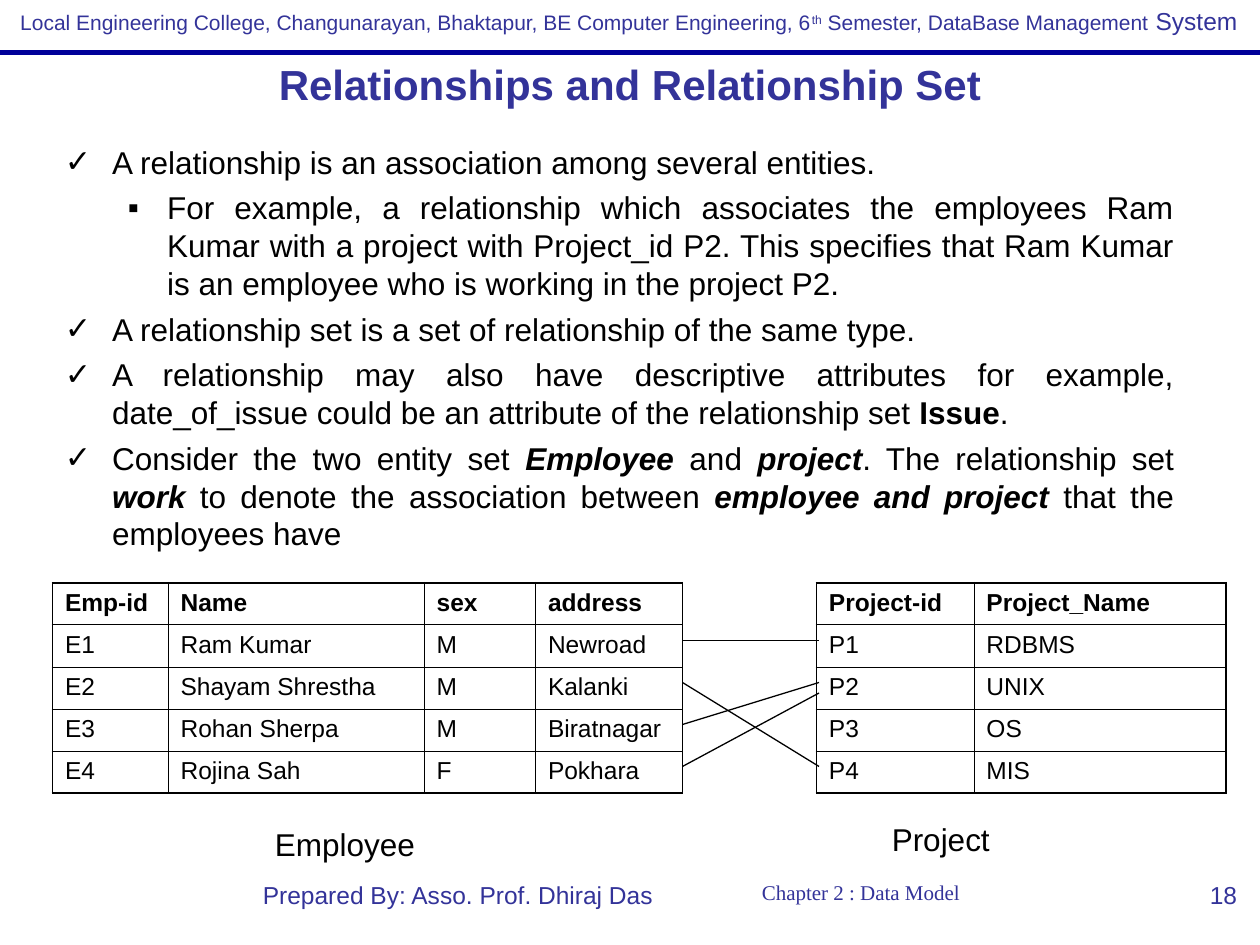
from itertools import product

from lxml.etree import SubElement
from pptx import Presentation
from pptx.dml.color import RGBColor
from pptx.enum.shapes import MSO_CONNECTOR
from pptx.enum.text import MSO_ANCHOR as Anchor, PP_ALIGN as Align
from pptx.oxml.ns import qn
from pptx.util import Inches, Pt

NAVY = RGBColor(0x00, 0x00, 0x99)
INDIGO = RGBColor(0x33, 0x33, 0x99)
BLACK = RGBColor(0x00, 0x00, 0x00)

COLUMNS, ROWS = 120, 90  # twelve grid units to the inch
UNIT = Inches(1) // 12
OUTER, INNER = Pt(1.08), Pt(0.45)

BOLD = {"bold": True}
STRONG = {"bold": True, "italic": True}

# Per outline level: bullet, left margin and hanging indent in grid units
BULLETS = [("✓", 4.5, 4.5), ("▪", 9.75, 3.75)]
POINTS = [
    (0, [("A relationship is an association among several entities.", {})]),
    (1, [("For example, a relationship which associates the employees Ram Kumar "
          "with a project with Project_id P2. This specifies that Ram Kumar is an "
          "employee who is working in the project P2.", {})]),
    (0, [("A relationship set is a set of relationship of the same type.", {})]),
    (0, [("A relationship may also have descriptive attributes for example, "
          "date_of_issue could be an attribute of the relationship set ", {}),
         ("Issue", BOLD), (".", {})]),
    (0, [("Consider the two entity set ", {}), ("Employee ", STRONG), ("and", {}),
         (" project", STRONG), (". The relationship set ", {}), ("work", STRONG),
         (" to denote the association between ", {}),
         ("employee and project", STRONG), (" that the employees have", {})]),
]

EMPLOYEES = [
    ["Emp-id", "Name", "sex", "address"],
    ["E1", "Ram Kumar", "M", "Newroad"],
    ["E2", "Shayam Shrestha", "M", "Kalanki"],
    ["E3", "Rohan Sherpa", "M", "Biratnagar"],
    ["E4", "Rojina Sah", "F", "Pokhara"],
]
PROJECTS = [
    ["Project-id", "Project_Name"],
    ["P1", "RDBMS"],
    ["P2", "UNIX"],
    ["P3", "OS"],
    ["P4", "MIS"],
]
# Grid rows where each work link leaves Employee and reaches Project
WORK_LINKS = [(61, 61), (65, 73), (69, 65), (73, 66)]


def grid(*units):
    return [round(unit * UNIT) for unit in units]


class SlideBuilder:
    def __init__(self, slide, font="Arial"):
        self.slide = slide
        self.font = font

    def add_runs(self, paragraph, runs, **style):
        """Add (text, format) runs on top of a shared style."""
        for text, own in runs:
            run = paragraph.add_run()
            run.text = text
            values = {"name": self.font, "color": BLACK, "bold": False, **style, **own}
            run.font.color.rgb = values.pop("color")
            baseline = values.pop("baseline", None)
            if baseline:
                run._r.get_or_add_rPr().set("baseline", baseline)
            for key, value in values.items():
                setattr(run.font, key, value)

    def title(self, text, box):
        heading = self.slide.shapes.title
        heading.left, heading.top, heading.width, heading.height = grid(*box)
        frame = heading.text_frame
        frame.margin_top = frame.margin_bottom = 0
        frame.vertical_anchor = Anchor.MIDDLE
        paragraph = frame.paragraphs[0]
        paragraph.alignment = Align.CENTER
        self.add_runs(paragraph, [(text, BOLD)], size=Pt(24), color=INDIGO)

    def label(self, runs, box, align=Align.LEFT, **style):
        frame = self.slide.shapes.add_textbox(*grid(*box)).text_frame
        frame.word_wrap = False
        paragraph = frame.paragraphs[0]
        paragraph.alignment = align
        self.add_runs(paragraph, runs, **style)

    def outline(self, points, box):
        frame = self.slide.shapes.add_textbox(*grid(*box)).text_frame
        frame.word_wrap = True
        for index, (level, runs) in enumerate(points):
            paragraph = frame.add_paragraph() if index else frame.paragraphs[0]
            paragraph.level = level
            paragraph.alignment = Align.JUSTIFY
            paragraph.space_before = Pt(4.5)
            bullet, margin, hang = BULLETS[level]
            properties = paragraph._p.get_or_add_pPr()
            for key, length in zip(("marL", "indent"), grid(margin, -hang)):
                properties.set(key, str(length))
            SubElement(properties, qn("a:buFont"), typeface=self.font)
            SubElement(properties, qn("a:buChar"), char=bullet)
            self.add_runs(paragraph, runs, size=Pt(18))

    def border(self, cell, widths):
        """Draw a cell's black edges, given as widths by edge letter."""
        properties = cell._tc.get_or_add_tcPr()
        for edge, width in widths.items():
            line = SubElement(properties, qn(f"a:ln{edge}"), w=str(int(width)))
            fill = SubElement(line, qn("a:solidFill"))
            SubElement(fill, qn("a:srgbClr"), val=str(BLACK))

    def table(self, records, left, top, widths, row_height=4):
        rows, columns = len(records), len(widths)
        box = grid(left, top, sum(widths), rows * row_height)
        table = self.slide.shapes.add_table(rows, columns, *box).table
        table.first_row = table.horz_banding = False
        for column, width in zip(table.columns, grid(*widths)):
            column.width = width
        for r, c in product(range(rows), range(columns)):
            cell = table.cell(r, c)
            on_edge = {"L": c == 0, "R": c == columns - 1, "T": r == 0, "B": r == rows - 1}
            self.border(cell, {e: OUTER if out else INNER for e, out in on_edge.items()})
            cell.fill.background()
            paragraph = cell.text_frame.paragraphs[0]
            paragraph.space_before = Pt(3.5)
            self.add_runs(paragraph, [(records[r][c], {"bold": r == 0})], size=Pt(14))

    def line(self, start, end, color=BLACK, width=0.75):
        connector = self.slide.shapes.add_connector(
            MSO_CONNECTOR.STRAIGHT, *grid(*start, *end))
        connector.line.color.rgb = color
        connector.line.width = Pt(width)
        SubElement(connector._element.spPr, qn("a:effectLst"))


def main():
    deck = Presentation()
    deck.slide_width, deck.slide_height = grid(COLUMNS, ROWS)
    title_only = deck.slide_layouts[5]
    page = SlideBuilder(deck.slides.add_slide(title_only))

    page.line((0, 5), (COLUMNS, 5), NAVY, 3)
    course = [
        ("Local Engineering College, Changunarayan, Bhaktapur, BE Computer Engineering, 6", {}),
        ("th", {"baseline": "30000"}),
        (" Semester, DataBase Management", {}),
        (" System", {"size": Pt(14)}),
    ]
    page.label(course, (0.75, 0, 119, 4), size=Pt(12), color=INDIGO)

    page.title("Relationships and Relationship Set", (0, 6, COLUMNS, 4))
    page.outline(POINTS, (5, 13, 108, 41))

    page.table(EMPLOYEES, 5, 55.5, [11, 24.4, 10.6, 14])
    page.table(PROJECTS, 77.75, 55.5, [15, 24])
    for employee_row, project_row in WORK_LINKS:
        page.line((65, employee_row), (78, project_row))
    page.label([("Employee", {})], (25, 78, 15.75, 4.75), size=Pt(18))
    page.label([("Project", {})], (83.75, 77.5, 11.75, 4.75), size=Pt(18))

    footers = [
        ("Chapter 2 : Data Model", 63, 38, Align.CENTER, 12, "Times New Roman"),
        ("Prepared By: Asso. Prof. Dhiraj Das", 23.25, 40.75, Align.CENTER, 14, "Arial"),
        ("18", 91, 28, Align.RIGHT, 14, "Arial"),
    ]
    for text, left, width, align, size, font in footers:
        page.label([(text, {})], (left, 83.2, width, 6.2), align,
                   size=Pt(size), name=font, color=INDIGO)

    deck.save("out.pptx")


if __name__ == "__main__":
    main()
